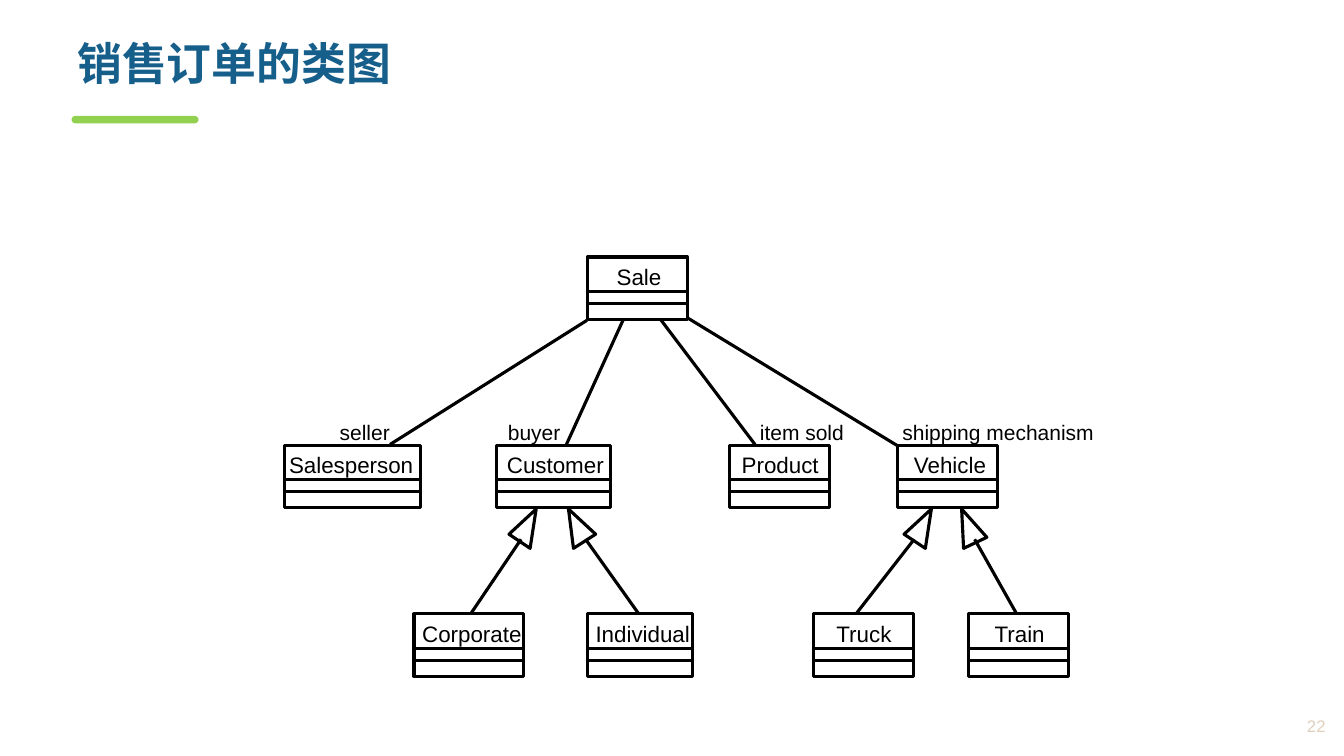
from lxml import etree
from pptx import Presentation
from pptx.dml.color import RGBColor
from pptx.enum import shapes, text
from pptx.oxml import ns
from pptx.util import Pt

BLACK = "000000"
LINE_WIDTH = 2.25
CLASS_HEIGHT = 44.6
DIVIDERS = (24.5, 33.1)
SALE_Y, PART_Y, KIND_Y = 183.6, 318.2, 438.5

# name, box left, box top, box width, name left, name width
CLASSES = [
    ("Sale", 419.5, SALE_Y, 71.5, 433.4, 46.8),
    ("Salesperson", 203.5, PART_Y, 96.7, 199.4, 103),
    ("Customer", 354.4, PART_Y, 81.5, 355, 85),
    ("Product", 520.9, PART_Y, 71.5, 522.7, 70.6),
    ("Vehicle", 641.3, PART_Y, 71.5, 645.8, 67),
    ("Corporate", 295.7, KIND_Y, 78, 294.5, 86.4),
    ("Individual", 419.5, KIND_Y, 75, 418.3, 82.8),
    ("Truck", 581, KIND_Y, 71.5, 590.4, 54.7),
    ("Train", 691.7, KIND_Y, 71.5, 703.4, 51.1),
]

# role, label left, label width, line start, line end
ASSOCIATIONS = [
    ("seller", 234, 96, (419.3, 228.8), (278.6, 317.5)),
    ("buyer", 354.2, 96, (445, 228.8), (404.6, 317.5)),
    ("item sold", 534.2, 96, (472.3, 228.8), (539.3, 317.5)),
    ("shipping mechanism", 636, 168, (491.8, 227.5), (640.8, 318.2)),
]

# arrowhead corners (tip first), line start, line end
GENERALIZATIONS = [
    ([(383, 363.6), (378.7, 391.7), (363.6, 381.6)], (372.2, 385.2), (336.2, 438.5)),
    ([(406.1, 363.6), (425.5, 381.6), (409.7, 391.7)], (418.3, 385.2), (455.8, 437.8)),
    ([(665.3, 363.6), (661, 391.7), (645.8, 381.6)], (653, 385.2), (612, 437.8)),
    ([(686.9, 363.6), (704.9, 383.8), (688.3, 391.7)], (696.2, 385.2), (725.8, 437.8)),
]


def color(value):
    return RGBColor.from_string(value)


def outline(sp):
    sp.shadow.inherit = False
    sp.fill.background()
    sp.line.color.rgb = color(BLACK)
    sp.line.width = Pt(LINE_WIDTH)


def add_text(s, words, x, y, w, h, size, fill=BLACK, font="Arial", bold=False,
             inset=(7.2, 3.6), wrap=True, align=text.PP_ALIGN.LEFT,
             anchor=text.MSO_ANCHOR.TOP, spacing=None):
    tf = s.shapes.add_textbox(Pt(x), Pt(y), Pt(w), Pt(h)).text_frame
    tf.word_wrap = wrap
    tf.vertical_anchor = anchor
    tf.margin_left = tf.margin_right = Pt(inset[0])
    tf.margin_top = tf.margin_bottom = Pt(inset[1])
    p = tf.paragraphs[0]
    p.alignment = align
    p.line_spacing = spacing
    r = p.add_run()
    r.text = words
    r.font.name = font
    r.font.size = Pt(size)
    r.font.bold = bold
    r.font.color.rgb = color(fill)
    etree.SubElement(r.font._element, ns.qn("a:ea"), typeface=font)


def add_line(s, start, end):
    ln = s.shapes.add_connector(shapes.MSO_CONNECTOR.STRAIGHT,
                                *[Pt(v) for v in (*start, *end)])
    ln.line.color.rgb = color(BLACK)
    ln.line.width = Pt(LINE_WIDTH)
    etree.SubElement(ln._element.spPr, ns.qn("a:effectLst"))


def add_class(s, name, x, y, w, name_x, name_w):
    sp = s.shapes.add_shape(shapes.MSO_SHAPE.RECTANGLE,
                            Pt(x), Pt(y), Pt(w), Pt(CLASS_HEIGHT))
    outline(sp)
    for dy in DIVIDERS:
        add_line(s, (x, y + dy), (x + w, y + dy))
    add_text(s, name, name_x, y + 0.8, name_w, 26.6, 16, wrap=False)


def add_association(s, role, x, w, start, end):
    add_line(s, start, end)
    add_text(s, role, x, 295.2, w, 26.6, 15, inset=(8.6, 4.3))


def add_generalization(s, corners, start, end):
    fb = s.shapes.build_freeform(*[Pt(v) for v in corners[0]])
    fb.add_line_segments([(Pt(x), Pt(y)) for x, y in corners[1:]], close=True)
    outline(fb.convert_to_shape())
    add_line(s, start, end)


def add_heading(s):
    sp = s.shapes.add_shape(shapes.MSO_SHAPE.ROUND_2_SAME_RECTANGLE,
                            Pt(51.1), Pt(82.8), Pt(90.7), Pt(5.3))
    sp.adjustments[0] = sp.adjustments[1] = 0.5
    sp.shadow.inherit = False
    sp.fill.solid()
    sp.fill.fore_color.rgb = color("92D050")
    sp.line.fill.background()
    add_text(s, "销售订单的类图", 48.2, 29.5, 883.4, 54, 32, "175F8B",
             "Noto Sans CJK SC", bold=True, inset=(7.2, 0), spacing=0.9)


def main():
    prs = Presentation()
    prs.slide_width, prs.slide_height = Pt(960), Pt(540)
    s = prs.slides.add_slide(prs.slide_layouts[6])

    # Title and accent bar
    add_heading(s)

    # Class diagram
    for item in CLASSES:
        add_class(s, *item)
    for item in ASSOCIATIONS:
        add_association(s, *item)
    for item in GENERALIZATIONS:
        add_generalization(s, *item)

    # Page number
    add_text(s, "22", 872.6, 504.7, 81.4, 27.4, 12, "E0CFBD",
             align=text.PP_ALIGN.RIGHT, anchor=text.MSO_ANCHOR.MIDDLE)
    prs.save("out.pptx")


if __name__ == "__main__":
    main()
